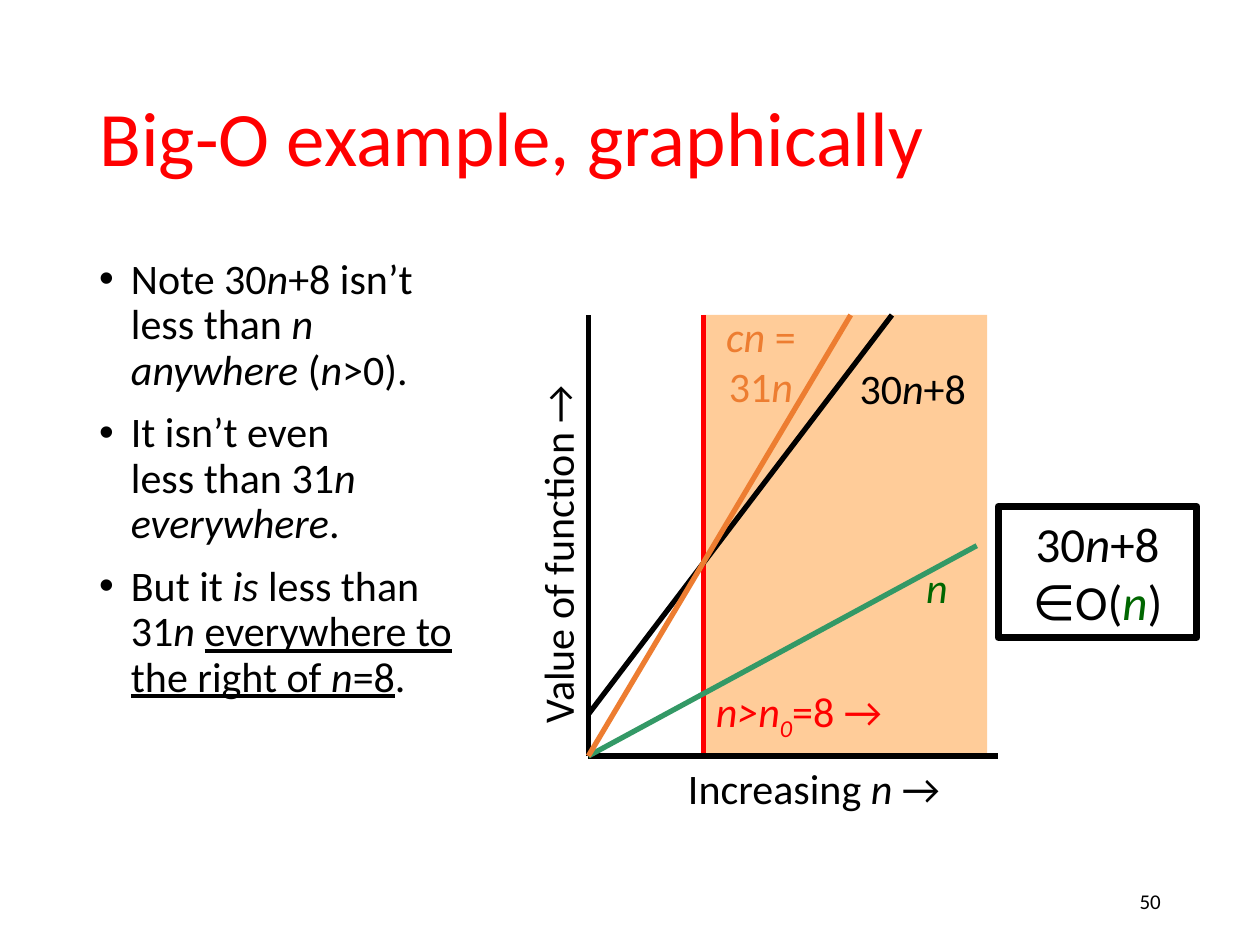
from lxml import etree
from pptx import Presentation
from pptx.dml.color import RGBColor as RGB
from pptx.enum.shapes import MSO_CONNECTOR as CONN, MSO_SHAPE as SHAPE
from pptx.enum.text import MSO_ANCHOR as ANCHOR, PP_ALIGN as ALIGN
from pptx.oxml.ns import qn
from pptx.util import Cm, Pt

COLORS = {"black": "000000", "red": "FF0000", "orange": "ED7D31", "sea": "339966",
          "green": "006600", "peach": "FFCC99", "white": "FFFFFF"}


def rgb(name):
    return RGB.from_string(COLORS[name])


def add_runs(p, runs, size, color):
    """Add (text, style) runs; style letters: i italic, u underline, s subscript, g green."""
    for text, style in runs:
        for k, part in enumerate(text.split("\n")):
            if k:
                p.add_line_break()
            if not part:
                continue
            r = p.add_run()
            r.text = part
            r.font.name, r.font.size = "Calibri", Pt(size)
            r.font.color.rgb = rgb("green" if "g" in style else color)
            r.font.italic = "i" in style
            r.font.underline = "u" in style
            if "s" in style:
                r._r.get_or_add_rPr().set("baseline", "-25000")


prs = Presentation()
prs.slide_width, prs.slide_height = Cm(25.4), Cm(19.05)
s = prs.slides.add_slide(prs.slide_layouts[5])

# Title
title = s.shapes.title
title.left, title.top, title.width, title.height = Cm(1.75), Cm(1.02), Cm(21.9), Cm(3.68)
title.text_frame.vertical_anchor = ANCHOR.MIDDLE
p = title.text_frame.paragraphs[0]
p.alignment, p.line_spacing = ALIGN.LEFT, 0.9
add_runs(p, [("Big-O example, graphically", "")], 44, "red")

# Bulleted notes
notes = [
    [("Note 30", ""), ("n", "i"), ("+8 isn’t\nless than ", ""), ("n\nanywhere ", "i"),
     ("(", ""), ("n", "i"), (">0).", "")],
    [("It isn’t even\nless than 31", ""), ("n\neverywhere", "i"), (".", "")],
    [("But it ", ""), ("is", "i"), (" less than\n31", ""), ("n ", "i"),
     ("everywhere to\nthe right of ", "u"), ("n", "iu"), ("=8", "u"), (".", "")],
]
tf = s.shapes.add_textbox(Cm(1.75), Cm(5.08), Cm(21.9), Cm(12.09)).text_frame
tf.word_wrap = True
for k, runs in enumerate(notes):
    p = tf.add_paragraph() if k else tf.paragraphs[0]
    p.line_spacing, p.space_before = 0.9, Pt(10)
    pPr = p._p.get_or_add_pPr()
    pPr.set("marL", str(Cm(0.64)))
    pPr.set("indent", str(-Cm(0.64)))
    etree.SubElement(pPr, qn("a:buFont")).set("typeface", "Arial")
    etree.SubElement(pPr, qn("a:buChar")).set("char", "•")
    add_runs(p, runs, 24, "black")

# Shaded region to the right of n0
left, top, bottom, n0 = 11.86, 6.35, 15.24, 14.18
region = s.shapes.add_shape(SHAPE.RECTANGLE, Cm(n0), Cm(top), Cm(5.72), Cm(bottom - top))
region.shadow.inherit = False
region.fill.solid()
region.fill.fore_color.rgb = rgb("peach")
region.line.fill.background()

# Threshold, axes and function lines
lines = [
    (n0, bottom, n0, top, "red"),
    (left, bottom, left, top, "black"),
    (left, bottom, 20.12, bottom, "black"),
    (left, 14.4, 17.98, top, "black"),
    (left, bottom, 19.69, 11, "sea"),
    (left, bottom, 17.15, top, "orange"),
]
for x1, y1, x2, y2, color in lines:
    line = s.shapes.add_connector(CONN.STRAIGHT, Cm(x1), Cm(y1), Cm(x2), Cm(y2))
    line.line.color.rgb, line.line.width = rgb(color), Pt(3)
    etree.SubElement(line._element.spPr, qn("a:effectLst"))

# Graph labels: left, top, width, height, rotation, wrap, colour, runs
labels = [
    (14.05, 13.74, 4.11, 1.3, 0, False, "red", [("n>n", "i"), ("0", "is"), ("=8 →", "")]),
    (13.59, 15.24, 5.64, 1.27, 0, False, "black",
     [("Increasing ", ""), ("n ", "i"), ("→", "")]),
    (7.52, 10.54, 7.42, 1.27, 270, False, "black", [("Value of function →", "")]),
    (18.42, 11.2, 0.91, 1.27, 0, False, "green", [("n", "i")]),
    (16.71, 7.19, 3.38, 1.27, 0, True, "black", [("30", ""), ("n", "i"), ("+8", "")]),
    (13.97, 6.12, 2.74, 2.31, 0, True, "orange",
     [("cn ", "i"), ("=\n31", ""), ("n", "i")]),
]
for x, y, w, h, rotation, wrap, color, runs in labels:
    label = s.shapes.add_textbox(Cm(x), Cm(y), Cm(w), Cm(h))
    label.rotation = rotation
    tf = label.text_frame
    tf.word_wrap, tf.vertical_anchor = wrap, ANCHOR.MIDDLE
    p = tf.paragraphs[0]
    p.alignment = ALIGN.CENTER
    add_runs(p, runs, 24, color)

# Conclusion box
box = s.shapes.add_shape(SHAPE.RECTANGLE, Cm(20.12), Cm(10.21), Cm(4.01), Cm(2.64))
box.shadow.inherit = False
box.fill.solid()
box.fill.fore_color.rgb = rgb("white")
box.line.color.rgb, box.line.width = rgb("black"), Pt(4)
tf = box.text_frame
tf.word_wrap, tf.vertical_anchor = True, ANCHOR.MIDDLE
p = tf.paragraphs[0]
p.alignment = ALIGN.CENTER
add_runs(p, [("30", ""), ("n", "i"), ("+8\n∈O(", ""), ("n", "ig"), (")", "")], 28, "black")

# Slide number
tf = s.shapes.add_textbox(Cm(17.93), Cm(17.65), Cm(5.72), Cm(1.02)).text_frame
tf.word_wrap, tf.vertical_anchor = True, ANCHOR.MIDDLE
p = tf.paragraphs[0]
p.alignment = ALIGN.RIGHT
add_runs(p, [("50", "")], 12, "black")

prs.save("out.pptx")
